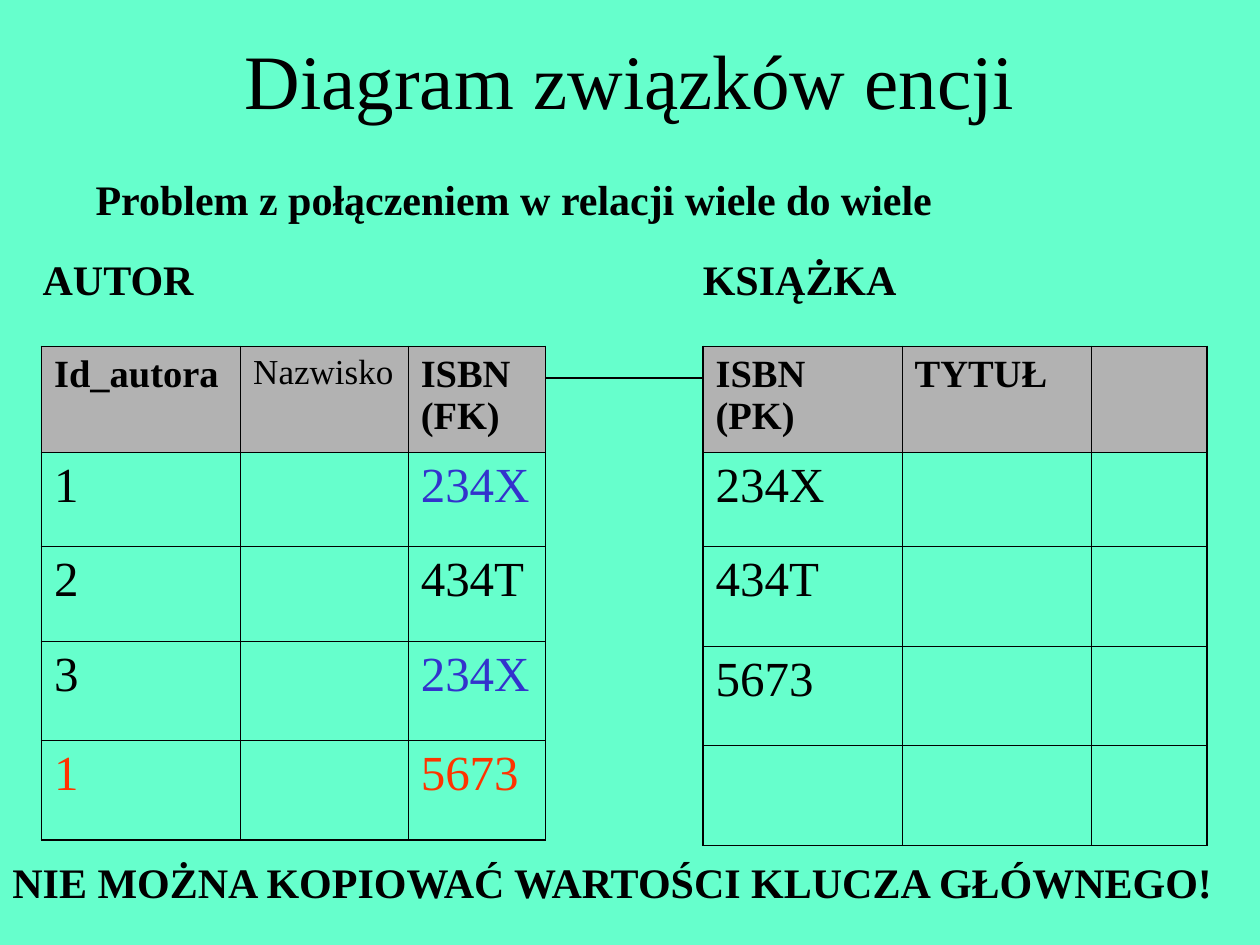
from dataclasses import dataclass

import pptx
import pptx.dml.color
import pptx.enum.shapes
import pptx.enum.text
import pptx.oxml
import pptx.oxml.ns
import pptx.util

Inches = pptx.util.Inches
Pt = pptx.util.Pt
FONT = "Times New Roman"
COLORS = {
    "background": "66FFCC",
    "text": "000000",
    "header": "B2B2B2",
    "shared": "3333CC",
    "duplicate": "FF3300",
}
THIN, THICK = 0.45, 1.08


@dataclass
class Label:
    text: str
    left: float
    top: float
    width: float
    height: float = 0.5
    size: int = 24
    bold: bool = True
    centered: bool = False


@dataclass
class Cell:
    text: str = ""
    size: int = 28
    bold: bool = False
    color: str = "text"


@dataclass
class Entity:
    left: float
    top: float
    widths: list[float]
    heights: list[float]
    rows: list[list[Cell]]


def header(text: str) -> Cell:
    return Cell(text, 22, True)


def rgb(name: str) -> pptx.dml.color.RGBColor:
    return pptx.dml.color.RGBColor.from_string(COLORS[name])


def set_font(p, size: int, bold: bool, color: str = "text") -> None:
    p.font.name = FONT
    p.font.size = Pt(size)
    p.font.bold = bold
    p.font.color.rgb = rgb(color)


def add_label(s, label: Label) -> None:
    sp = s.shapes.add_textbox(
        Inches(label.left), Inches(label.top), Inches(label.width), Inches(label.height)
    )
    tf = sp.text_frame
    tf.word_wrap = label.centered
    p = tf.paragraphs[0]
    p.text = label.text
    set_font(p, label.size, label.bold)
    if label.centered:
        tf.vertical_anchor = pptx.enum.text.MSO_ANCHOR.MIDDLE
        p.alignment = pptx.enum.text.PP_ALIGN.CENTER


def set_borders(cell, widths: dict[str, float]) -> None:
    tc_pr = cell._tc.get_or_add_tcPr()
    for i, (side, width) in enumerate(widths.items()):
        line = pptx.oxml.parse_xml(
            f'<a:ln{side} {pptx.oxml.ns.nsdecls("a")} w="{Pt(width)}">'
            f'<a:solidFill><a:srgbClr val="{COLORS["text"]}"/></a:solidFill>'
            f"</a:ln{side}>"
        )
        tc_pr.insert(i, line)


def add_entity(s, entity: Entity) -> None:
    n_rows, n_cols = len(entity.heights), len(entity.widths)
    table = s.shapes.add_table(
        n_rows,
        n_cols,
        Inches(entity.left),
        Inches(entity.top),
        Inches(sum(entity.widths)),
        Inches(sum(entity.heights)),
    ).table
    table.first_row = False
    table.horz_banding = False
    for column, width in zip(table.columns, entity.widths):
        column.width = Inches(width)
    for row, height in zip(table.rows, entity.heights):
        row.height = Inches(height)
    for i, row in enumerate(entity.rows):
        for j, content in enumerate(row):
            cell = table.cell(i, j)
            if i == 0:
                cell.fill.solid()
                cell.fill.fore_color.rgb = rgb("header")
            else:
                cell.fill.background()
            p = cell.text_frame.paragraphs[0]
            p.text = content.text
            set_font(p, content.size, content.bold, content.color)
            edges = {"L": j == 0, "R": j == n_cols - 1, "T": i == 0, "B": i == n_rows - 1}
            set_borders(cell, {k: THICK if outer else THIN for k, outer in edges.items()})


def add_relation(s, x1: float, x2: float, y: float) -> None:
    line = s.shapes.add_connector(
        pptx.enum.shapes.MSO_CONNECTOR.STRAIGHT, Inches(x1), Inches(y), Inches(x2), Inches(y)
    )
    line.line.color.rgb = rgb("text")
    line.line.width = Pt(0.75)
    line._element.spPr.append(
        pptx.oxml.parse_xml(f'<a:effectLst {pptx.oxml.ns.nsdecls("a")}/>')
    )


LABELS = [
    Label("Diagram związków encji", 0.75, 0, 8.5, 1.25, 44, False, True),
    Label("Problem z połączeniem w relacji wiele do wiele", 0.66, 1.33, 6.85),
    Label("NIE MOŻNA KOPIOWAĆ WARTOŚCI KLUCZA GŁÓWNEGO!", 0, 6.75, 9.86),
    Label("AUTOR", 0.24, 1.96, 1.4),
    Label("KSIĄŻKA", 5.48, 1.96, 1.74),
]

AUTHOR = Entity(
    0.33,
    2.75,
    [1.58, 1.33, 1.09],
    [0.84, 0.75, 0.75, 0.79, 0.79],
    [
        [header("Id_autora"), Cell("Nazwisko", 20), header("ISBN (FK)")],
        [Cell("1"), Cell(), Cell("234X", color="shared")],
        [Cell("2"), Cell(), Cell("434T")],
        [Cell("3"), Cell(), Cell("234X", color="shared")],
        [Cell("1", color="duplicate"), Cell(), Cell("5673", color="duplicate")],
    ],
)

BOOK = Entity(
    5.58,
    2.75,
    [1.58, 1.5, 0.92],
    [0.84, 0.75, 0.79, 0.79, 0.79],
    [[header("ISBN (PK)"), header("TYTUŁ"), header("")]]
    + [[Cell(isbn), Cell(), Cell()] for isbn in ("234X", "434T", "5673", "")],
)


def main() -> None:
    prs = pptx.Presentation()
    prs.slide_width = Inches(10)
    prs.slide_height = Inches(7.5)
    s = prs.slides.add_slide(prs.slide_layouts[6])
    s.background.fill.solid()
    s.background.fill.fore_color.rgb = rgb("background")
    for entity in (AUTHOR, BOOK):
        add_entity(s, entity)
    add_relation(s, AUTHOR.left + sum(AUTHOR.widths), BOOK.left, 3)
    for label in LABELS:
        add_label(s, label)
    prs.save("out.pptx")


if __name__ == "__main__":
    main()
